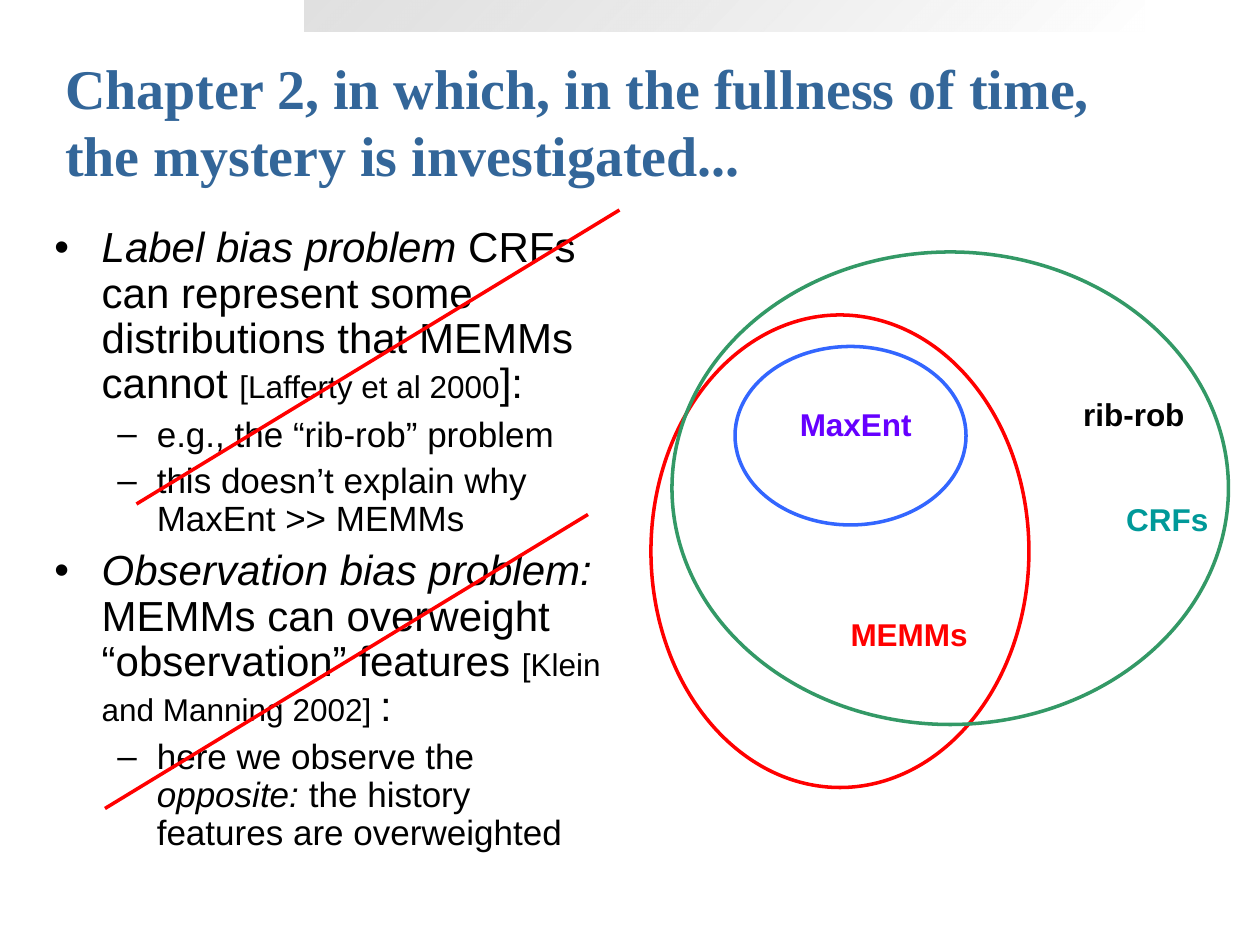
from dataclasses import dataclass

from lxml import etree
from pptx import Presentation
from pptx.dml.color import RGBColor
from pptx.enum import shapes, text
from pptx.oxml.ns import qn
from pptx.util import Pt


@dataclass(frozen=True)
class Theme:
    heading_font: str = "Times New Roman"
    body_font: str = "Arial"
    heading: str = "336699"
    ink: str = "000000"
    strike: str = "FF0000"
    band_light: str = "FFFFFF"
    band_dark: str = "C0C0C0"
    maxent_ring: str = "3366FF"
    maxent: str = "6600FF"
    memms: str = "FF0000"
    crfs_ring: str = "339966"
    crfs: str = "009999"
    title_size: int = 32
    point_size: int = 24
    detail_size: int = 20
    small_size: int = 18
    line_width: int = 2


THEME = Theme()

# Each item: level, then (text, style) spans; styles are "", "italic" or "small".
POINTS = [
    (0, [("Label bias problem", "italic"),
         (" CRFs can represent some distributions that MEMMs cannot ", ""),
         ("[Lafferty et al 2000", "small"), ("]:", "")]),
    (1, [("e.g., the “rib-rob” problem", "")]),
    (1, [("this doesn’t explain why MaxEnt >> MEMMs", "")]),
    (0, [("Observation bias problem: ", "italic"),
         ("MEMMs can overweight “observation” features ", ""),
         ("[Klein and Manning 2002] ", "small"), (":", "")]),
    (1, [("here we observe the ", ""), ("opposite: ", "italic"),
         ("the history features are overweighted", "")]),
]


def points(*lengths):
    return [Pt(length) for length in lengths]


def style_span(span, font, size, color, bold=False, italic=False):
    span.font.name = font
    span.font.size = Pt(size)
    span.font.color.rgb = RGBColor.from_string(color)
    span.font.bold = bold
    span.font.italic = italic


def set_bullet(para, mark, margin, indent):
    props = para._p.get_or_add_pPr()
    props.set("marL", str(Pt(margin)))
    props.set("indent", str(Pt(-indent)))
    color = etree.SubElement(props, qn("a:buClr"))
    etree.SubElement(color, qn("a:srgbClr"), val=THEME.ink)
    etree.SubElement(props, qn("a:buFont"), typeface=THEME.body_font)
    etree.SubElement(props, qn("a:buChar"), char=mark)


def add_band(page, box):
    """Draw the translucent gradient strip at the top edge."""
    band = page.shapes.add_shape(shapes.MSO_SHAPE.RECTANGLE, *points(*box))
    band.shadow.inherit = False
    band.line.fill.background()
    band.fill.gradient()
    band.fill.gradient_angle = 135
    looks = [(THEME.band_light, 68), (THEME.band_dark, 48)]
    for stop, (color, _) in zip(band.fill.gradient_stops, looks):
        stop.color.rgb = RGBColor.from_string(color)
    colors = band._element.spPr.iter(qn("a:srgbClr"))
    for node, (_, opacity) in zip(list(colors), looks):
        etree.SubElement(node, qn("a:alpha"), val=str(opacity * 1000))


def fill_title(page, box, wording):
    title = page.shapes.title
    title.left, title.top, title.width, title.height = points(*box)
    frame = title.text_frame
    frame.text = wording
    frame.auto_size = text.MSO_AUTO_SIZE.NONE
    frame.vertical_anchor = text.MSO_ANCHOR.MIDDLE
    para = frame.paragraphs[0]
    para.alignment = text.PP_ALIGN.LEFT
    style_span(para.runs[0], THEME.heading_font, THEME.title_size, THEME.heading, bold=True)


def add_points(page, box, items):
    frame = page.shapes.add_textbox(*points(*box)).text_frame
    frame.word_wrap = True
    for number, (level, spans) in enumerate(items):
        para = frame.add_paragraph() if number else frame.paragraphs[0]
        para.level = level
        para.line_spacing = 0.9
        para.space_before = Pt(5 if level else 6)
        if level:
            set_bullet(para, "–", 58.5, 22.5)
        else:
            set_bullet(para, "•", 27, 27)
        size = THEME.detail_size if level else THEME.point_size
        for wording, style in spans:
            span = para.add_run()
            span.text = wording
            style_span(span, THEME.body_font, THEME.small_size if style == "small" else size,
                       THEME.ink, italic=style == "italic")


def add_ring(page, box, color):
    ring = page.shapes.add_shape(shapes.MSO_SHAPE.OVAL, *points(*box))
    ring.shadow.inherit = False
    ring.fill.background()
    ring.line.color.rgb = RGBColor.from_string(color)
    ring.line.width = Pt(THEME.line_width)


def add_label(page, box, wording, color, alignment=text.PP_ALIGN.CENTER):
    frame = page.shapes.add_textbox(*points(*box)).text_frame
    frame.text = wording
    frame.word_wrap = False
    frame.auto_size = text.MSO_AUTO_SIZE.NONE
    para = frame.paragraphs[0]
    para.alignment = alignment
    style_span(para.runs[0], THEME.body_font, THEME.small_size, color, bold=True)


def add_venn(page, box):
    """Draw the nested model families, offset from the corner of the box."""
    left, top, width, height = box
    label_height = 29
    families = [
        ("MaxEnt", THEME.maxent_ring, THEME.maxent, (48, 54, 132, 102), (72, 84, 90)),
        ("MEMMs", THEME.memms, THEME.memms, (0, 36, 216, 270), (100, 204, 95)),
        ("CRFs", THEME.crfs_ring, THEME.crfs, (12, 0, width - 12, height - 36),
         (258, 138, 74)),
    ]
    for name, ring_color, text_color, (x, y, w, h), (tx, ty, tw) in families:
        add_ring(page, (left + x, top + y, w, h), ring_color)
        add_label(page, (left + tx, top + ty, tw, label_height), name, text_color)
    add_label(page, (left + 228, top + 78, 84, label_height), "rib-rob", THEME.ink,
              text.PP_ALIGN.RIGHT)


def add_strike(page, box):
    """Cross out a box from its upper right to its lower left corner."""
    left, top, width, height = box
    strike = page.shapes.add_connector(
        shapes.MSO_CONNECTOR.STRAIGHT, *points(left + width, top, left, top + height))
    strike.line.color.rgb = RGBColor.from_string(THEME.strike)
    strike.line.width = Pt(THEME.line_width)
    etree.SubElement(strike._element.spPr, qn("a:effectLst"))


def main():
    deck = Presentation()
    deck.slide_width, deck.slide_height = points(720, 540)
    page = deck.slides.add_slide(deck.slide_layouts.get_by_name("Title Only"))
    add_band(page, (174, 0, 480, 18))
    fill_title(page, (30, 24, 648, 90),
               "Chapter 2, in which, in the fullness of time, the mystery is investigated...")
    add_points(page, (24, 126, 328, 390), POINTS)
    add_venn(page, (372, 144, 330, 306))
    for left, top in [(78, 120), (60, 294)]:
        add_strike(page, (left, top, 276, 168))
    deck.save("out.pptx")


if __name__ == "__main__":
    main()
